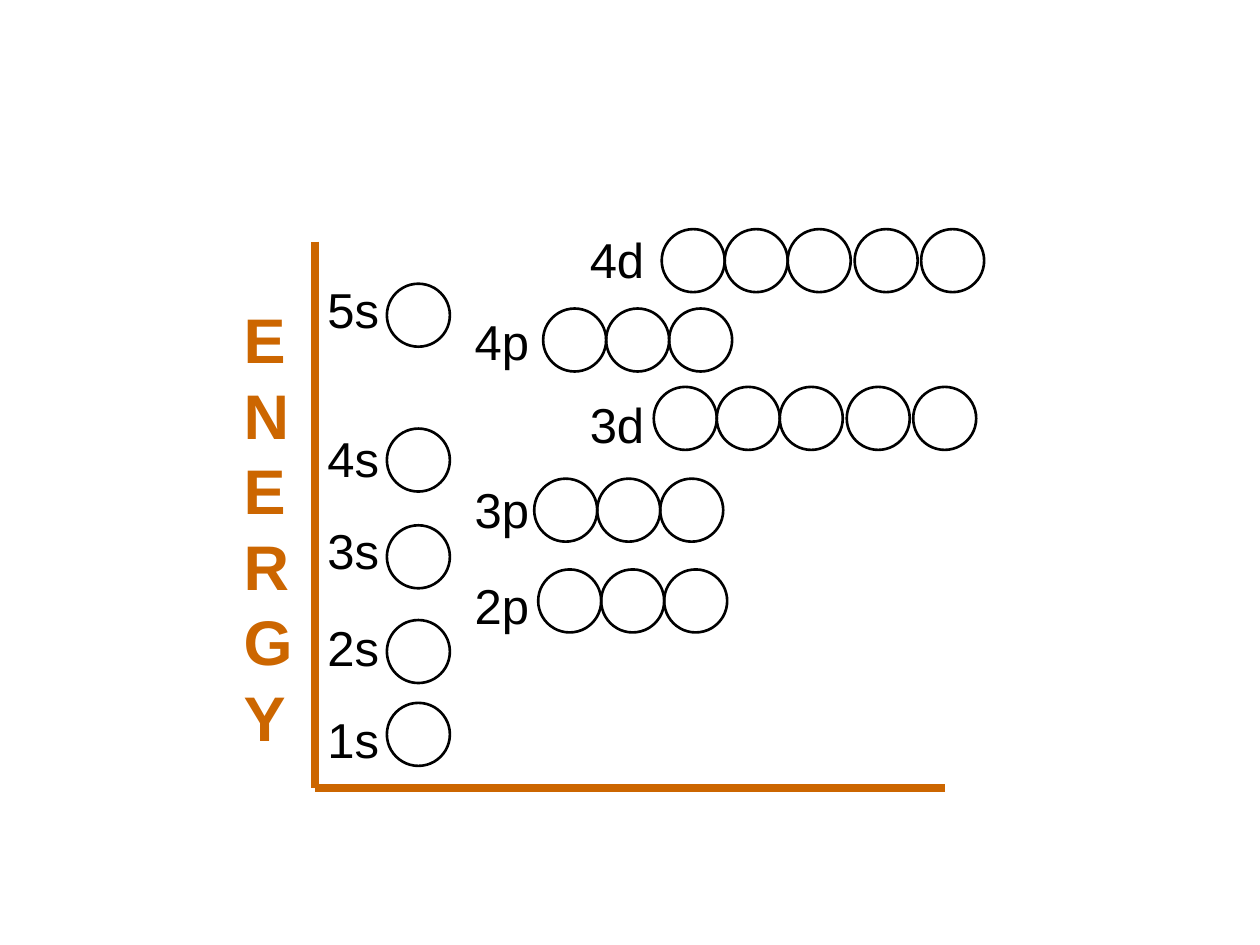
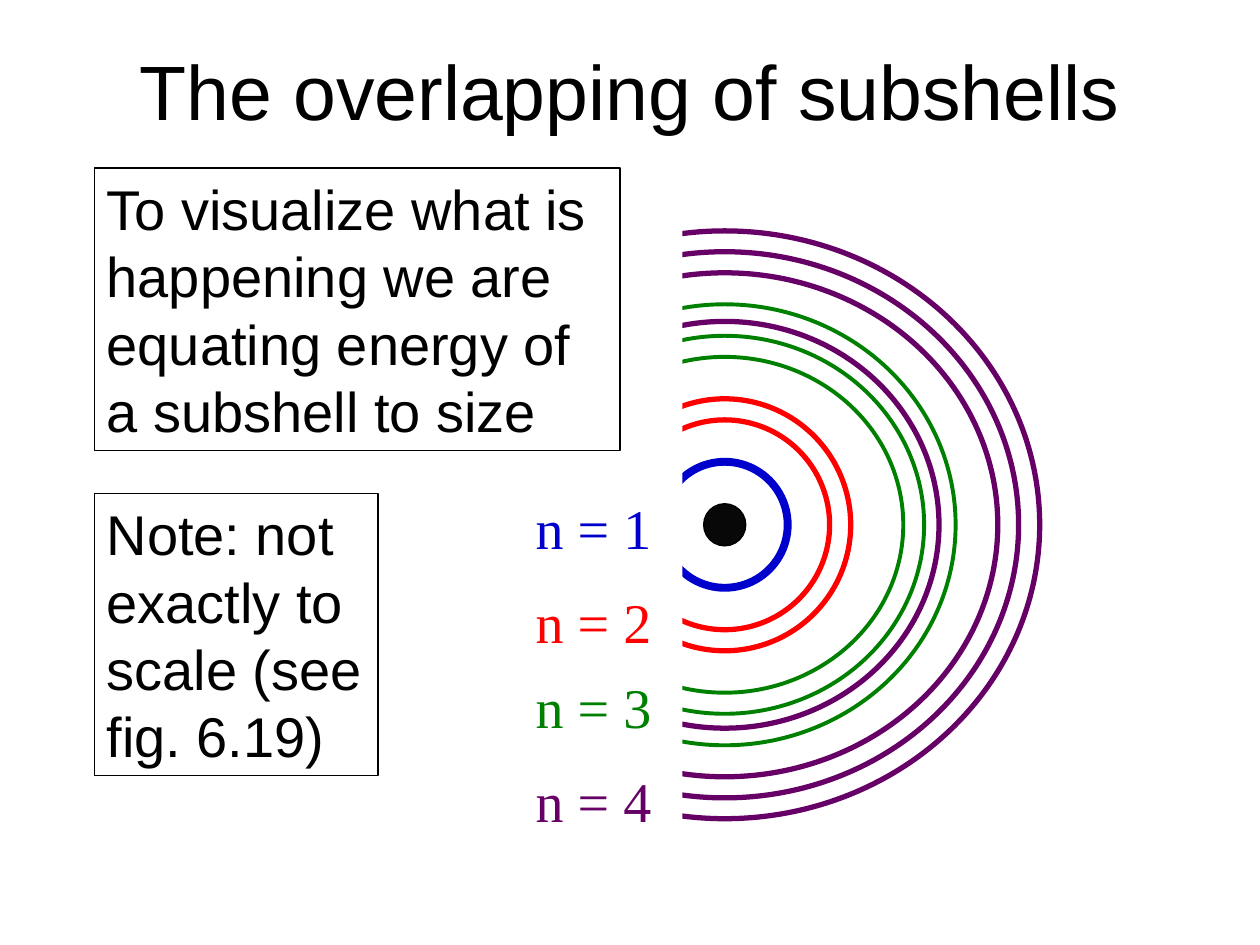
from dataclasses import dataclass

from lxml import etree
from pptx import Presentation
from pptx.dml.color import RGBColor
from pptx.enum.shapes import MSO_CONNECTOR, MSO_SHAPE
from pptx.enum.text import MSO_ANCHOR, PP_ALIGN
from pptx.oxml.ns import qn
from pptx.shapes.autoshape import Shape
from pptx.shapes.shapetree import GroupShapes
from pptx.slide import Slide
from pptx.util import Cm, Pt

OVAL, RECT = MSO_SHAPE.OVAL, MSO_SHAPE.RECTANGLE
LINE = MSO_CONNECTOR.STRAIGHT
LEFT, MID = PP_ALIGN.LEFT, PP_ALIGN.CENTER
TOP, CENTER = MSO_ANCHOR.TOP, MSO_ANCHOR.MIDDLE

COLORS = {
    "ink": "000000",
    "core": "080808",
    "paper": "FFFFFF",
    "axis": "CC6600",
    "blue": "0000CC",
    "red": "FF0000",
    "green": "008000",
    "plum": "660066",
}
SANS, SERIF = "Arial", "Times New Roman"
PAD_X, PAD_Y = 0.25, 0.13


@dataclass(frozen=True)
class Box:
    x: float
    y: float
    w: float
    h: float


@dataclass(frozen=True)
class Font:
    size: int
    color: str = "ink"
    name: str = SANS
    bold: bool = False


@dataclass(frozen=True)
class Level:
    """A subshell: its label's top, and the left and top of its orbitals."""
    name: str
    label: float
    x: float
    y: float


@dataclass(frozen=True)
class Shell:
    name: str
    color: str
    weight: float
    label: float
    rings: tuple[tuple[float, float], ...]


# Label left and number of orbitals for each kind of subshell
KINDS = {"s": (6.35, 1), "p": (9.32, 3), "d": (11.64, 5)}
STEPS = (0, 1.27, 2.54, 3.89, 5.23)
ORBIT = 1.27
LEVELS = (
    Level("5s", 5.51, 7.8, 5.72),
    Level("4s", 8.51, 7.8, 8.64),
    Level("3s", 10.36, 7.8, 10.59),
    Level("2s", 12.32, 7.8, 12.5),
    Level("1s", 14.17, 7.8, 14.17),
    Level("2p", 11.48, 10.85, 11.48),
    Level("3p", 9.53, 10.77, 9.65),
    Level("4p", 6.15, 10.95, 6.22),
    Level("3d", 7.82, 13.18, 7.8),
    Level("4d", 4.5, 13.34, 4.62),
)

HUB = (14.61, 10.58)
CORE = 0.85
SHELLS = (
    Shell("n = 1", "blue", 4.5, 9.95, ((2.54, 2.54),)),
    Shell("n = 2", "red", 3, 11.85, ((5.08, 5.08), (4.23, 4.23))),
    Shell("n = 3", "green", 2.25, 13.55,
          ((9.31, 8.89), (7.2, 6.77), (8.04, 7.62))),
    Shell("n = 4", "plum", 3, 15.45,
          ((11.85, 11.01), (11.01, 10.16), (8.64, 8.2), (12.7, 11.85))),
)
NOTES = (
    ("To visualize what is happening we are equating energy of "
     "a subshell to size", Box(1.9, 3.39, 10.6, 5.69)),
    ("Note: not exactly to scale (see fig. 6.19)", Box(1.9, 9.95, 5.72, 5.69)),
)


def rgb(color: str) -> RGBColor:
    return RGBColor.from_string(COLORS[color])


def place(box: Box) -> tuple[Cm, Cm, Cm, Cm]:
    return Cm(box.x), Cm(box.y), Cm(box.w), Cm(box.h)


def draw(shapes: GroupShapes, kind: MSO_SHAPE, box: Box, line: str = "",
         weight: float = 0.75, fill: str = "") -> Shape:
    shape = shapes.add_shape(kind, *place(box))
    shape.shadow.inherit = False
    if fill:
        shape.fill.solid()
        shape.fill.fore_color.rgb = rgb(fill)
    else:
        shape.fill.background()
    if line:
        shape.line.color.rgb = rgb(line)
        shape.line.width = Pt(weight)
    else:
        shape.line.fill.background()
    return shape


def ring(shapes: GroupShapes, w: float, h: float, line: str,
         weight: float, fill: str = "") -> None:
    """Draw an ellipse centred on the nucleus."""
    box = Box(HUB[0] - w / 2, HUB[1] - h / 2, w, h)
    draw(shapes, OVAL, box, line, weight, fill)


def write(shape: Shape, text: str, font: Font, align: PP_ALIGN = LEFT,
          anchor: MSO_ANCHOR = TOP, padded: bool = True) -> None:
    frame = shape.text_frame
    frame.text = text
    frame.word_wrap = True
    frame.vertical_anchor = anchor
    frame.margin_left = frame.margin_right = Cm(PAD_X if padded else 0)
    frame.margin_top = frame.margin_bottom = Cm(PAD_Y if padded else 0)
    for para in frame.paragraphs:
        para.alignment = align
        for run in para.runs:
            run.font.name = font.name
            run.font.size = Pt(font.size)
            run.font.bold = font.bold
            run.font.color.rgb = rgb(font.color)


def axis(shapes: GroupShapes, x1: float, y1: float,
         x2: float, y2: float) -> None:
    line = shapes.add_connector(LINE, Cm(x1), Cm(y1), Cm(x2), Cm(y2))
    line.line.color.rgb = rgb("axis")
    line.line.width = Pt(4.5)
    etree.SubElement(line._element.spPr, qn("a:effectLst"))


def energy(slide: Slide) -> None:
    """Energy diagram of the subshells."""
    for level in LEVELS:
        left, count = KINDS[level.name[-1]]
        group = slide.shapes.add_group_shape().shapes
        for step in STEPS[:count]:
            spot = Box(level.x + step, level.y, ORBIT, ORBIT)
            draw(group, OVAL, spot, "ink", 1.5)
        label = group.add_textbox(*place(Box(left, level.label, 1.9, 1.45)))
        write(label, level.name, Font(28))

    group = slide.shapes.add_group_shape().shapes
    axis(group, 6.35, 4.87, 6.35, 15.88)
    axis(group, 19.05, 15.88, 6.35, 15.88)
    label = group.add_textbox(*place(Box(4.66, 5.93, 1.9, 9.4)))
    write(label, "E N E R G Y", Font(36, "axis", bold=True))


def overlap(slide: Slide) -> None:
    """Shells around the nucleus, cut off on the left."""
    shapes = slide.shapes
    title = shapes.add_textbox(*place(Box(0.85, 0.85, 23.7, 1.9)))
    write(title, "The overlapping of subshells", Font(44), MID, CENTER)

    ring(shapes, CORE, CORE, "ink", 0.75, "core")
    for shell in SHELLS:
        group = shapes.add_group_shape().shapes
        for w, h in shell.rings:
            ring(group, w, h, shell.color, shell.weight)
    draw(shapes, RECT, Box(5.93, 4.02, 7.83, 12.91), fill="paper")

    for shell in SHELLS:
        label = shapes.add_textbox(*place(Box(10.8, shell.label, 2.75, 1.35)))
        write(label, shell.name, Font(32, shell.color, SERIF), padded=False)
    for text, box in NOTES:
        write(draw(shapes, RECT, box, "ink"), text, Font(32))


def main() -> None:
    deck = Presentation()
    deck.slide_width, deck.slide_height = Cm(25.4), Cm(19.05)
    blank = deck.slide_layouts[6]
    for build in (energy, overlap):
        build(deck.slides.add_slide(blank))
    deck.save("out.pptx")


if __name__ == "__main__":
    main()
